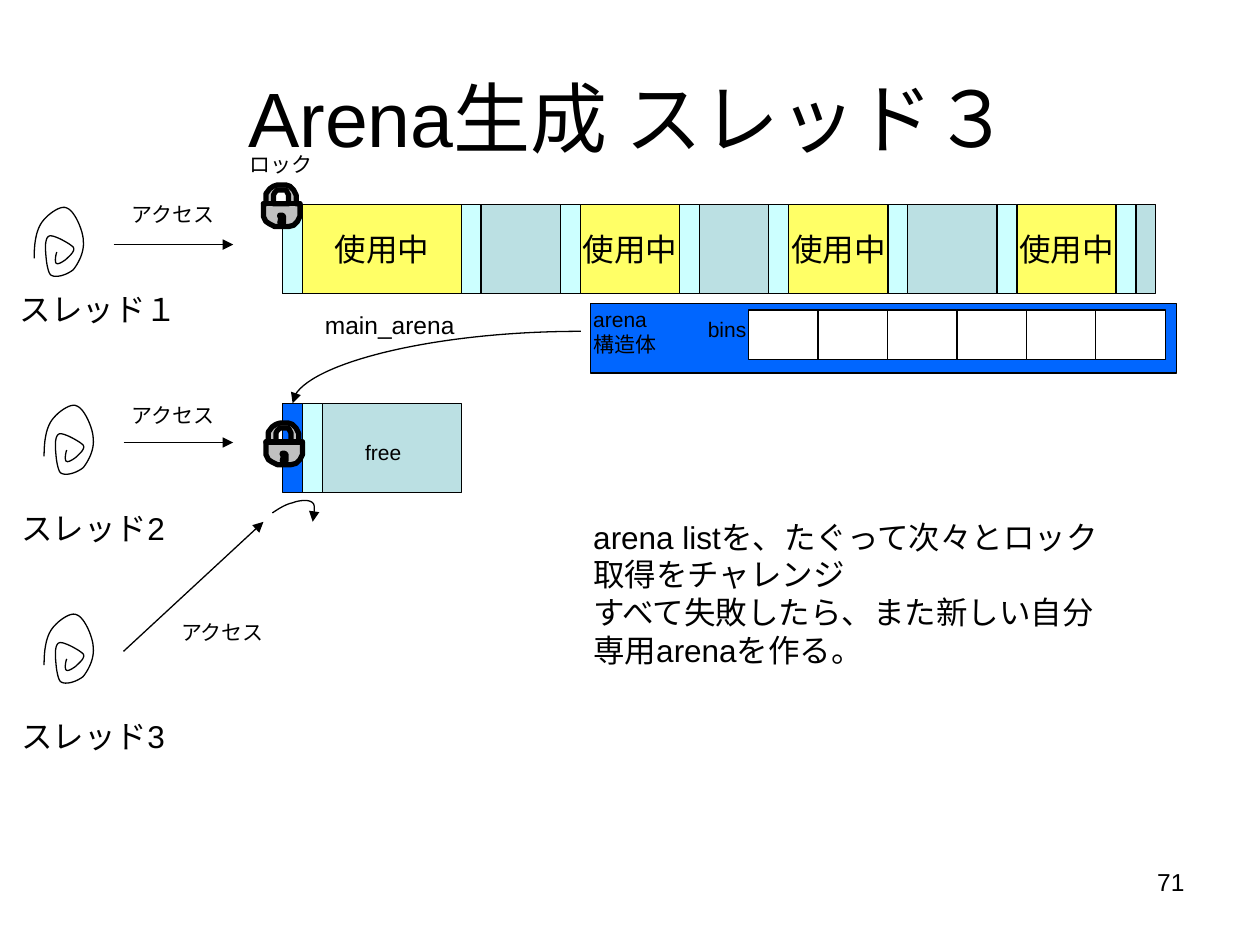
"""Build the slide on arena creation for thread 3, on a grid of 254 one-millimetre columns."""
from dataclasses import dataclass
from typing import NamedTuple

from lxml.etree import SubElement
from pptx import Presentation
from pptx.dml.color import RGBColor as RGB
from pptx.enum.shapes import MSO_CONNECTOR as CONN, MSO_SHAPE as SHAPE
from pptx.enum.text import MSO_ANCHOR as ANCHOR, MSO_AUTO_SIZE as FIT, PP_ALIGN as ALIGN
from pptx.oxml.ns import qn
from pptx.util import Inches, Mm, Pt

COLS, ROWS = 254, 190.5
BLOCK_H = 18
HEAP_X, HEAP_Y, ARENA_Y = 57, 41.2, 81.3
HEADER_W = 4


@dataclass(frozen=True)
class Theme:
    font: str = "Arial"
    ink: str = "000000"
    free: str = "BBE0E3"
    used: str = "FFFF66"
    header: str = "CCFFFF"
    arena: str = "0066FF"
    bin: str = "FFFFFF"
    metal: str = "C0C0C0"
    title: int = 44
    body: int = 18
    note: int = 14
    small: int = 12
    thin: float = 0.75
    thick: float = 3


class Label(NamedTuple):
    x: float
    y: float
    w: float
    h: float
    text: str
    size: int
    wrap: bool = False
    align: ALIGN = ALIGN.LEFT
    fit: FIT = FIT.SHAPE_TO_FIT_TEXT


class Block(NamedTuple):
    x: float
    y: float
    w: float
    h: float
    fill: str
    text: str = ""


class Arrow(NamedTuple):
    x1: float
    y1: float
    x2: float
    y2: float
    kind: CONN = CONN.STRAIGHT


T = Theme()

SPIRAL = [(0, 0), (0, -10), (1, -20), (5, -27), (9, -34), (21, -43), (26, -40),
          (32, -38), (39, -22), (39, -14), (40, -5), (35, 4), (31, 9),
          (26, 13), (17, 16), (13, 13), (10, 10), (9, -4), (9, -9),
          (9, -14), (10, -18), (13, -18), (17, -18), (28, -12), (31, -9),
          (33, -6), (28, -2), (26, 0), (24, 2), (19, 5), (18, 4),
          (16, 4), (17, -3), (18, -5)]
HOOK = [(0, 0), (6, -4), (11, -7), (16, -8), (21, -10), (29, -11), (32, -8),
        (35, -6), (32, 5), (32, 7)]
LOCK = [[(0, 15), (2, 15), (2, 7), (5, 3), (8, 1), (11, 0), (18, 0), (21, 1), (24, 4),
         (26, 8), (26, 15), (29, 15), (29, 25), (27, 29), (24, 32), (20, 33), (9, 33),
         (5, 31), (2, 29), (0, 25)],
        [(8, 15), (8, 8), (9, 6), (11, 4), (18, 4), (19, 6), (20, 8), (20, 15)],
        [(0, 15), (29, 15)],
        [(16, 26), (16, 30), (13, 30), (14, 26), (13, 25), (13, 24), (15, 24), (16, 25)]]

HEAP = [Block(HEAP_X, HEAP_Y, 176, BLOCK_H, T.free),
        *(Block(x, HEAP_Y, w, BLOCK_H, T.used, "使用中")
          for x, w in ((61, 32), (117, 20), (159, 20), (205, 20))),
        *(Block(x, HEAP_Y, HEADER_W, BLOCK_H, T.header)
          for x in (57, 93, 113, 137, 155, 179, 201, 225))]
ARENA = [Block(61, ARENA_Y, 32, BLOCK_H, T.free),
         Block(61, ARENA_Y, HEADER_W, BLOCK_H, T.header),
         Block(57, ARENA_Y, HEADER_W, BLOCK_H, T.arena)]
BINS = [Block(119.1, 61.2, 118.1, 14, T.arena),
        *(Block(150.9 + 14 * i, 62.5, 14, 10, T.bin) for i in range(6))]

LABELS = [
    *(Label(x, y, 37, 10.2, text, T.body) for x, y, text in
      ((1.5, 57.2, "スレッド１"), (1.8, 101.3, "スレッド2"), (1.8, 143.3, "スレッド3"))),
    *(Label(x, y, 22.2, 7.6, "アクセス", T.small) for x, y in
      ((24.1, 39.4), (24, 79.9), (34, 123.7))),
    Label(47.8, 29.4, 18.2, 7.6, "ロック", T.small),
    Label(63, 61.2, 31.6, 8.6, "main_arena", T.note),
    Label(140.2, 62.5, 13.4, 7.6, "bins", T.small),
    Label(117.1, 60.5, 18.2, 12.7, "arena\n構造体", T.small),
    Label(71.1, 87.4, 13, 7.6, "free", T.small),
    Label(117.1, 103.1, 108, 33, "arena listを、たぐって次々とロック取得をチャレンジ\n"
          "すべて失敗したら、また新しい自分専用arenaを作る。", T.body, True),
    Label(182.1, 173.5, 59.2, 13.2, "71", T.note, True, ALIGN.RIGHT, FIT.NONE),
]
ARROWS = [Arrow(22.9, 49.3, 47, 49.3), Arrow(24.9, 89.2, 47, 89.2),
          Arrow(24.9, 131.3, 53.1, 105.2), Arrow(117.1, 66.8, 59, ARENA_Y, CONN.CURVE)]


def write(shape, text: str, size: int, align: ALIGN, **frame) -> None:
    """Fill a shape's text frame and format it."""
    tf = shape.text_frame
    tf.text = text
    for name, value in frame.items():
        setattr(tf, name, value)
    for p in tf.paragraphs:
        p.alignment = align
        for r in p.runs:
            for name, value in {"name": T.font, "size": Pt(size)}.items():
                setattr(r.font, name, value)
            r.font.color.rgb = RGB.from_string(T.ink)


def outline(shape, width: float) -> None:
    """Give a shape or connector a plain line."""
    shape.line.color.rgb = RGB.from_string(T.ink)
    shape.line.width = Pt(width)


def add_head(shape) -> None:
    """Put a triangle at the end of a line."""
    SubElement(shape.line._get_or_add_ln(), qn("a:tailEnd"), type="triangle")


def add_block(s, b: Block) -> None:
    """Draw one memory block."""
    sp = s.shapes.add_shape(SHAPE.RECTANGLE, Mm(b.x), Mm(b.y), Mm(b.w), Mm(b.h))
    sp.shadow.inherit = False
    sp.fill.solid()
    sp.fill.fore_color.rgb = RGB.from_string(b.fill)
    outline(sp, T.thin)
    if b.text:
        write(sp, b.text, T.body, ALIGN.CENTER, word_wrap=False, vertical_anchor=ANCHOR.MIDDLE)


def add_label(s, t: Label) -> None:
    """Draw one text box."""
    sp = s.shapes.add_textbox(Mm(t.x), Mm(t.y), Mm(t.w), Mm(t.h))
    write(sp, t.text, t.size, t.align, word_wrap=t.wrap, auto_size=t.fit)


def add_arrow(s, a: Arrow) -> None:
    """Draw one arrow, bent once when it is curved."""
    c = s.shapes.add_connector(a.kind, Mm(a.x1), Mm(a.y1), Mm(a.x2), Mm(a.y2))
    outline(c, T.thin)
    add_head(c)
    SubElement(c._element.spPr, qn("a:effectLst"))
    if a.kind == CONN.CURVE:
        c._element.spPr.find(qn("a:prstGeom")).set("prst", "curvedConnector2")


def bezier(pts: list, steps: int = 12) -> list:
    """Sample a chain of cubic curves."""
    out = [pts[0]]
    for i in range(0, len(pts) - 1, 3):
        for t in (k / steps for k in range(1, steps + 1)):
            weights = ((1 - t) ** 3, 3 * t * (1 - t) ** 2, 3 * t * t * (1 - t), t ** 3)
            out.append(tuple(sum(w * p[axis] for w, p in zip(weights, pts[i:i + 4]))
                             for axis in (0, 1)))
    return out


def add_outline(s, x: float, y: float, contours: list, closed: bool, width: float):
    """Draw contours, given in hundredths of an inch, from a grid point."""
    paths = [[(px * Inches(0.01), py * Inches(0.01)) for px, py in c] for c in contours]
    fb = s.shapes.build_freeform(*paths[0][0])
    for i, pts in enumerate(paths):
        if i:
            fb.move_to(*pts[0])
        fb.add_line_segments(pts[1:], close=closed)
    sp = fb.convert_to_shape(Mm(x), Mm(y))
    sp.shadow.inherit = False
    outline(sp, width)
    if closed:
        sp.fill.solid()
        sp.fill.fore_color.rgb = RGB.from_string(T.metal)
    else:
        sp.fill.background()
    return sp


def main() -> None:
    """Assemble and save the slide."""
    prs = Presentation()
    prs.slide_width, prs.slide_height = Mm(COLS), Mm(ROWS)
    s = prs.slides.add_slide(prs.slide_layouts[5])
    title = s.shapes.title
    for name, value in {"left": 12.7, "top": 7.6, "width": 228.4, "height": 31.8}.items():
        setattr(title, name, Mm(value))
    write(title, "Arena生成 スレッド３", T.title, ALIGN.CENTER, word_wrap=True,
          auto_size=FIT.NONE, vertical_anchor=ANCHOR.MIDDLE)
    for b in HEAP + ARENA + BINS:
        add_block(s, b)
    for x, y in ((6.9, 52.1), (8.9, 92), (8.9, 134.1)):
        add_outline(s, x, y, [bezier(SPIRAL)], False, T.thin)
    for x, y in ((53.1, 37.3), (53.6, 85.3)):
        add_outline(s, x, y, LOCK, True, T.thick)
    add_head(add_outline(s, 54.9, 103.4, [bezier(HOOK)], False, T.thin))
    for a in ARROWS:
        add_arrow(s, a)
    for t in LABELS:
        add_label(s, t)
    prs.save("out.pptx")


if __name__ == "__main__":
    main()
